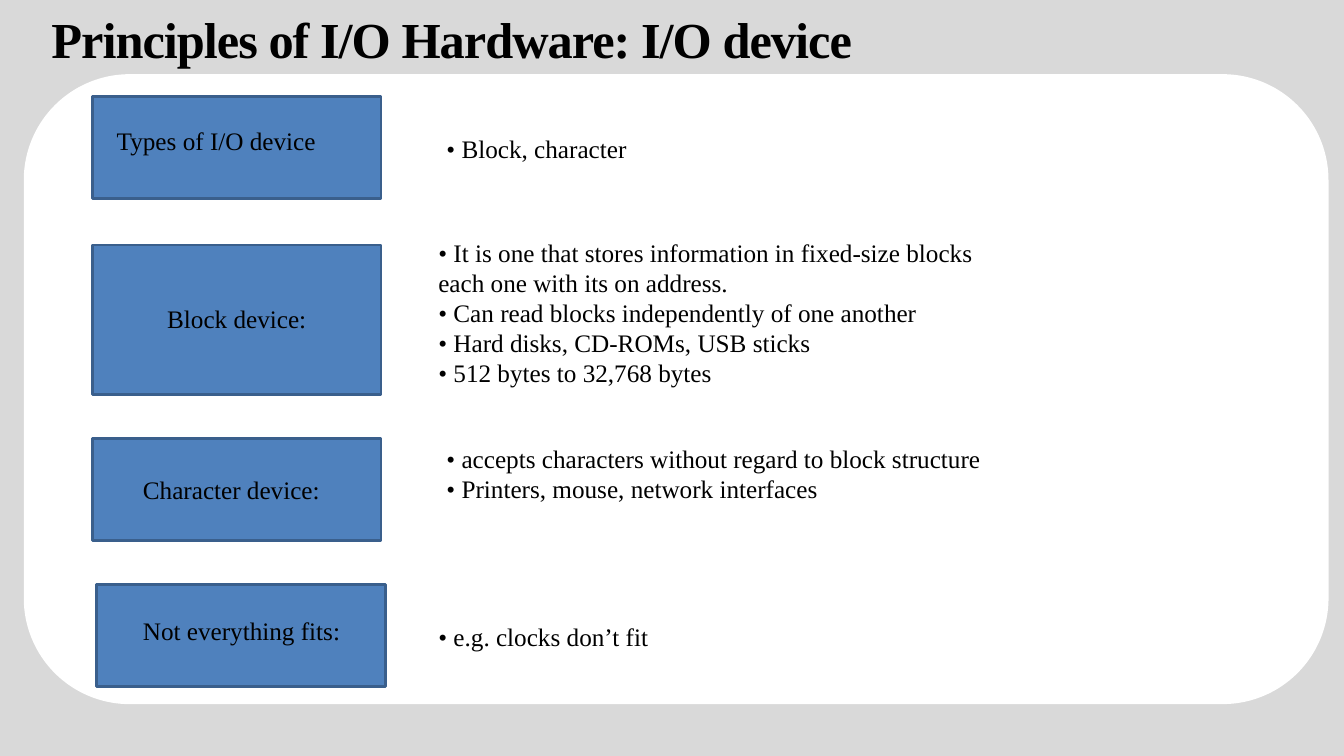
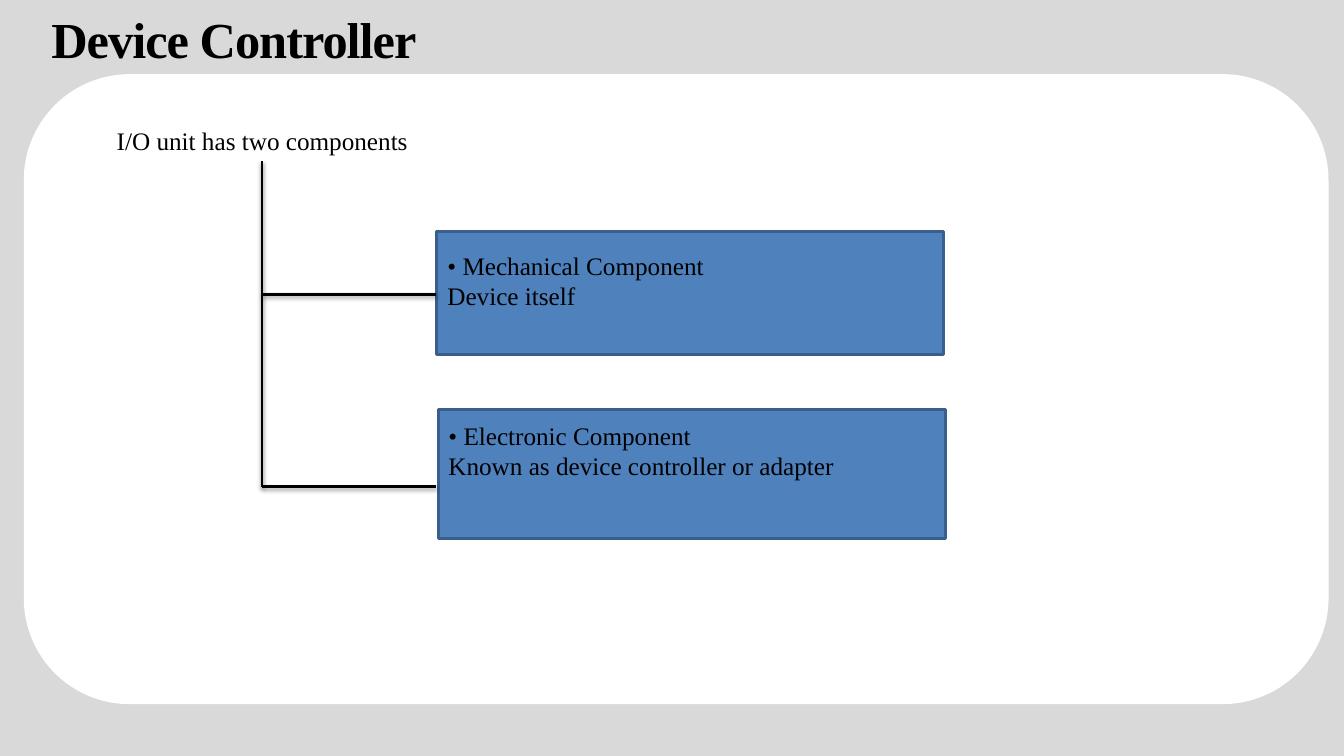
"""Build two slides on the principles of I/O hardware."""
from dataclasses import dataclass

from lxml import etree
from pptx import Presentation
from pptx import util as u
from pptx.dml.color import RGBColor
from pptx.enum import shapes, text
from pptx.oxml.ns import qn
from pptx.shapes.autoshape import Shape
from pptx.shapes.connector import Connector
from pptx.slide import Slide

GREY = RGBColor(0xD9, 0xD9, 0xD9)
WHITE = RGBColor(0xFF, 0xFF, 0xFF)
BLACK = RGBColor(0, 0, 0)
BLUE = RGBColor(0x4F, 0x81, 0xBD)
DARK_BLUE = RGBColor(0x3A, 0x5F, 0x8C)
FONT = "Times New Roman"
LINE_WIDTH = 2


@dataclass(frozen=True)
class Area:
    left: float
    top: float
    width: float
    height: float

    def lengths(self) -> tuple[u.Length, ...]:
        return tuple(u.Pt(value) for value in (self.left, self.top, self.width, self.height))


@dataclass(frozen=True)
class Caption:
    area: Area
    lines: tuple[str, ...]


@dataclass(frozen=True)
class Segment:
    start: tuple[float, float]
    end: tuple[float, float]


PANEL = Area(18, 54, 930, 448)
TITLE = Area(36, 5, 632, 45)

DEVICE_BOXES = (
    Area(66.2, 69.1, 206, 72.7),
    Area(66.2, 175, 206, 106.6),
    Area(66.2, 313.2, 206, 72.7),
    Area(69.1, 417.6, 206, 72.7),
)
DEVICE_CAPTIONS = (
    Caption(Area(76.3, 85.7, 186, 29), ("Types of I/O device",)),
    Caption(Area(112.3, 213.1, 118, 29), ("Block device:",)),
    Caption(Area(95, 335.5, 181, 29), ("Character device:",)),
    Caption(Area(95, 436.3, 181, 29), ("Not everything fits:",)),
    Caption(Area(311.8, 91.4, 227, 29), ("• Block, character",)),
    Caption(Area(306, 165.6, 414, 116.6), (
        "• It is one that stores information in fixed-size blocks each one with its on address.",
        "• Can read blocks independently of one another",
        "• Hard disks, CD-ROMs, USB sticks",
        "• 512 bytes to 32,768 bytes",
    )),
    Caption(Area(311.8, 313.2, 444, 51), (
        "• accepts characters without regard to block structure",
        "• Printers, mouse, network interfaces",
    )),
    Caption(Area(306, 439.9, 270, 29), ("• e.g. clocks don’t fit",)),
)

COMPONENT_BOXES = (
    Area(311.8, 165.6, 362, 87.8),
    Area(313.2, 292.3, 362, 92.2),
)
COMPONENT_CAPTIONS = (
    Caption(Area(76.3, 85.7, 235, 29), ("I/O unit has two components",)),
    Caption(Area(312.5, 175, 414, 51), ("• Mechanical Component", "Device itself")),
    Caption(Area(313.2, 296.6, 362, 51),
            ("• Electronic Component", "Known as device controller or adapter")),
)
TRUNK_X, BRANCH_END_X = 187.2, 311.8
UPPER_Y, LOWER_Y = 210.2, 347.8
TREE = (
    Segment((TRUNK_X, LOWER_Y), (TRUNK_X, 115.2)),
    Segment((TRUNK_X, UPPER_Y), (BRANCH_END_X, UPPER_Y)),
    Segment((TRUNK_X, LOWER_Y), (BRANCH_END_X, LOWER_Y)),
)


def add_text(slide: Slide, caption: Caption, *, size: float = 18, bold: bool = False,
             spacing: float = 0, insets: tuple[float, ...] = (7.2, 3.6, 7.2, 3.6)) -> Shape:
    shape = slide.shapes.add_textbox(*caption.area.lengths())
    frame = shape.text_frame
    frame.word_wrap = True
    frame.auto_size = text.MSO_AUTO_SIZE.SHAPE_TO_FIT_TEXT
    frame.margin_left, frame.margin_top, frame.margin_right, frame.margin_bottom = map(u.Pt, insets)
    for index, line in enumerate(caption.lines):
        paragraph = frame.add_paragraph() if index else frame.paragraphs[0]
        run = paragraph.add_run()
        run.text = line
        run.font.name = FONT
        run.font.size = u.Pt(size)
        run.font.bold = bold
        run.font.color.rgb = BLACK
        if spacing:
            run._r.get_or_add_rPr().set("spc", str(round(spacing * 100)))
    return shape


def add_box(slide: Slide, area: Area, fill: RGBColor = BLUE, outline: RGBColor = DARK_BLUE,
            kind: shapes.MSO_SHAPE = shapes.MSO_SHAPE.RECTANGLE) -> Shape:
    shape = slide.shapes.add_shape(kind, *area.lengths())
    shape.shadow.inherit = False
    shape.fill.solid()
    shape.fill.fore_color.rgb = fill
    shape.line.color.rgb = outline
    shape.line.width = u.Pt(LINE_WIDTH)
    return shape


def add_shadowed_line(slide: Slide, segment: Segment) -> Connector:
    points = [u.Pt(value) for value in (*segment.start, *segment.end)]
    connector = slide.shapes.add_connector(shapes.MSO_CONNECTOR.STRAIGHT, *points)
    connector.line.color.rgb = BLACK
    connector.line.width = u.Pt(LINE_WIDTH)
    effects = etree.SubElement(connector._element.spPr, qn("a:effectLst"))
    shadow = etree.SubElement(effects, qn("a:outerShdw"), blurRad=str(u.Pt(3.1)),
                              dist=str(u.Pt(1.6)), dir="5400000", rotWithShape="0")
    color = etree.SubElement(shadow, qn("a:srgbClr"), val=str(BLACK))
    etree.SubElement(color, qn("a:alpha"), val="38000")
    return connector


def add_content_slide(presentation: Presentation, title: str, boxes: tuple[Area, ...],
                      captions: tuple[Caption, ...], segments: tuple[Segment, ...] = ()) -> Slide:
    slide = presentation.slides.add_slide(presentation.slide_layouts[6])
    add_box(slide, PANEL, WHITE, WHITE, shapes.MSO_SHAPE.ROUNDED_RECTANGLE)
    add_text(slide, Caption(TITLE, (title,)), size=36, bold=True, spacing=-0.7,
             insets=(0.7, 1, 0, 0))
    for box in boxes:
        add_box(slide, box)
    for caption in captions:
        add_text(slide, caption)
    for segment in segments:
        add_shadowed_line(slide, segment)
    return slide


def main() -> None:
    presentation = Presentation()
    presentation.slide_width, presentation.slide_height = u.Pt(960), u.Pt(540)
    background = presentation.slide_master.background.fill
    background.solid()
    background.fore_color.rgb = GREY
    add_content_slide(presentation, "Principles of I/O Hardware: I/O device",
                      DEVICE_BOXES, DEVICE_CAPTIONS)
    add_content_slide(presentation, "Device Controller",
                      COMPONENT_BOXES, COMPONENT_CAPTIONS, TREE)
    presentation.save("out.pptx")


if __name__ == "__main__":
    main()
